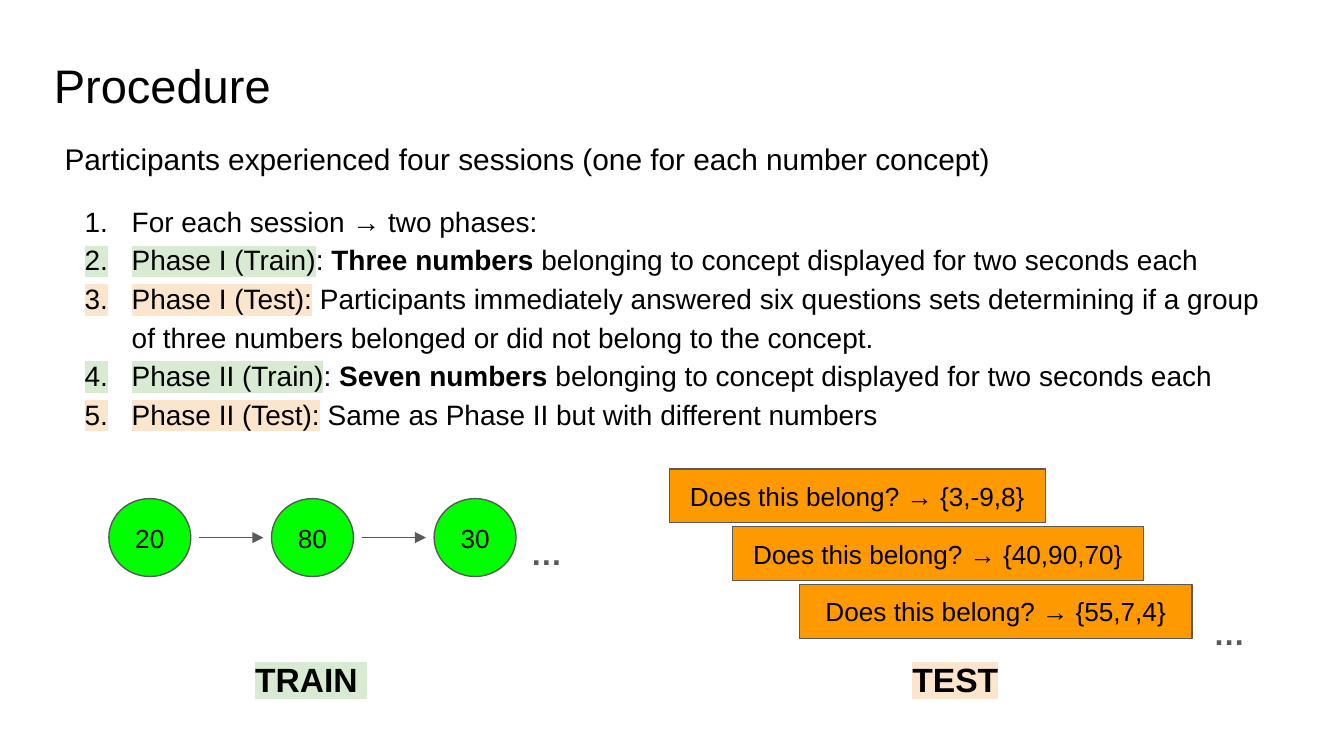
from lxml import etree
from pptx import Presentation
from pptx.dml.color import RGBColor
from pptx.enum.shapes import MSO_CONNECTOR, MSO_SHAPE
from pptx.enum.text import MSO_ANCHOR, MSO_AUTO_SIZE, PP_ALIGN
from pptx.oxml.ns import qn
from pptx.util import Inches, Pt

OVAL, RECT = MSO_SHAPE.OVAL, MSO_SHAPE.RECTANGLE
LINE = MSO_CONNECTOR.STRAIGHT
LEFT, CENTER = PP_ALIGN.LEFT, PP_ALIGN.CENTER
TOP, MIDDLE = MSO_ANCHOR.TOP, MSO_ANCHOR.MIDDLE
FIXED = MSO_AUTO_SIZE.NONE
BLACK, GRAY = "000000", "595959"
GREEN, PEACH = "D9EAD3", "FCE5CD"


def tint(code):
    return RGBColor.from_string(code)


def write(para, text, size=14, color=BLACK, bold=False, mark=None):
    run = para.add_run()
    run.text = text
    font = run.font
    font.name, font.size, font.bold = "Arial", Pt(size), bold
    font.color.rgb = tint(color)
    if mark:
        light = etree.Element(qn("a:highlight"))
        etree.SubElement(light, qn("a:srgbClr"), val=mark)
        font._element.find(qn("a:solidFill")).addnext(light)


deck = Presentation()
deck.slide_width = Inches(10)
deck.slide_height = Inches(10) * 9 // 16
slide = deck.slides.add_slide(deck.slide_layouts[1])
shapes = slide.shapes

title, body = shapes.title, slide.placeholders[1]
for box, left, top, height in ((title, 0.3, 0.32, 0.63), (body, 0.38, 0.91, 2.7)):
    box.left, box.top = Inches(left), Inches(top)
    box.width, box.height = Inches(9.32), Inches(height)
    box.text_frame.vertical_anchor = TOP
    box.text_frame.auto_size = FIXED

head = title.text_frame.paragraphs[0]
head.alignment = LEFT
write(head, "Procedure", size=25.2)

shown = "belonging to concept displayed for two seconds each"
items = [
    [("For each session → two phases:", {})],
    [("Phase I (Train)", {"mark": GREEN}), (": ", {}),
     ("Three numbers", {"bold": True}), (" " + shown, {})],
    [("Phase I (Test):", {"mark": PEACH}),
     (" Participants immediately answered six questions sets determining if a group"
      " of three numbers belonged or did not belong to the concept.", {})],
    [("Phase II (Train)", {"mark": GREEN}), (": ", {}),
     ("Seven numbers ", {"bold": True}), (shown, {})],
    [("Phase II (Test):", {"mark": PEACH}),
     (" Same as Phase II but with different numbers", {})],
]
frame = body.text_frame
lead = frame.paragraphs[0]
lead.line_spacing, lead.space_before = 1.15, Pt(0)
props = lead._p.get_or_add_pPr()
props.set("marL", "0")
props.set("indent", "0")
etree.SubElement(props, qn("a:buNone"))
write(lead, "Participants experienced four sessions (one for each number concept)", size=16)

for i, item in enumerate(items):
    para = frame.add_paragraph()
    para.line_spacing, para.space_before = 1.15, Pt(0 if i else 12)
    props = para._p.get_or_add_pPr()
    props.set("marL", str(Inches(0.5)))
    props.set("indent", str(Inches(-0.35)))
    ink = etree.SubElement(props, qn("a:buClr"))
    etree.SubElement(ink, qn("a:srgbClr"), val=BLACK)
    etree.SubElement(props, qn("a:buFont"), typeface="Arial")
    etree.SubElement(props, qn("a:buAutoNum"), type="arabicPeriod")
    for text, style in item:
        write(para, text, size=15, **style)

step = 1.21
cards = [(OVAL, 0.81 + step * i, 3.71, 0.61, 0.58, "00FF00", text)
         for i, text in enumerate(("20", "80", "30"))]
asks = ((4.98, 2.8, "{3,-9,8}"), (5.45, 3.06, "{40,90,70}"), (5.95, 2.92, "{55,7,4}"))
cards += [(RECT, left, 3.49 + 0.43 * i, width, 0.4, "FF9900", f"Does this belong? → {group}")
          for i, (left, width, group) in enumerate(asks)]
for kind, left, top, width, height, fill, text in cards:
    card = shapes.add_shape(kind, Inches(left), Inches(top), Inches(width), Inches(height))
    card.shadow.inherit = False
    card.fill.solid()
    card.fill.fore_color.rgb = tint(fill)
    card.line.color.rgb = tint(GRAY)
    card.line.width = Pt(0.75)
    card.text_frame.vertical_anchor = MIDDLE
    para = card.text_frame.paragraphs[0]
    para.alignment = CENTER
    write(para, text)

for i in range(2):
    left = 1.48 + step * i
    arrow = shapes.add_connector(LINE, Inches(left), Inches(4), Inches(left + 0.48), Inches(4))
    arrow.line.color.rgb = tint(GRAY)
    arrow.line.width = Pt(0.75)
    etree.SubElement(arrow.line._get_or_add_ln(), qn("a:tailEnd"), type="triangle")
    etree.SubElement(arrow._element.spPr, qn("a:effectLst"))

labels = (
    (1.8, 4.8, 1.05, "TRAIN ", {"size": 18, "mark": GREEN}),
    (6.69, 4.8, 1.05, "TEST", {"size": 18, "mark": PEACH}),
    (3.85, 3.87, 0.43, "…", {"size": 17, "color": GRAY}),
    (8.93, 4.47, 0.43, "…", {"size": 17, "color": GRAY}),
)
for left, top, width, text, style in labels:
    label = shapes.add_textbox(Inches(left), Inches(top), Inches(width), Inches(0.5))
    write(label.text_frame.paragraphs[0], text, bold=True, **style)

for shape in shapes:
    if shape.has_text_frame:
        frame = shape.text_frame
        frame.word_wrap = True
        frame.margin_left = frame.margin_right = Inches(0.1)
        frame.margin_top = frame.margin_bottom = Inches(0.1)

deck.save("out.pptx")
